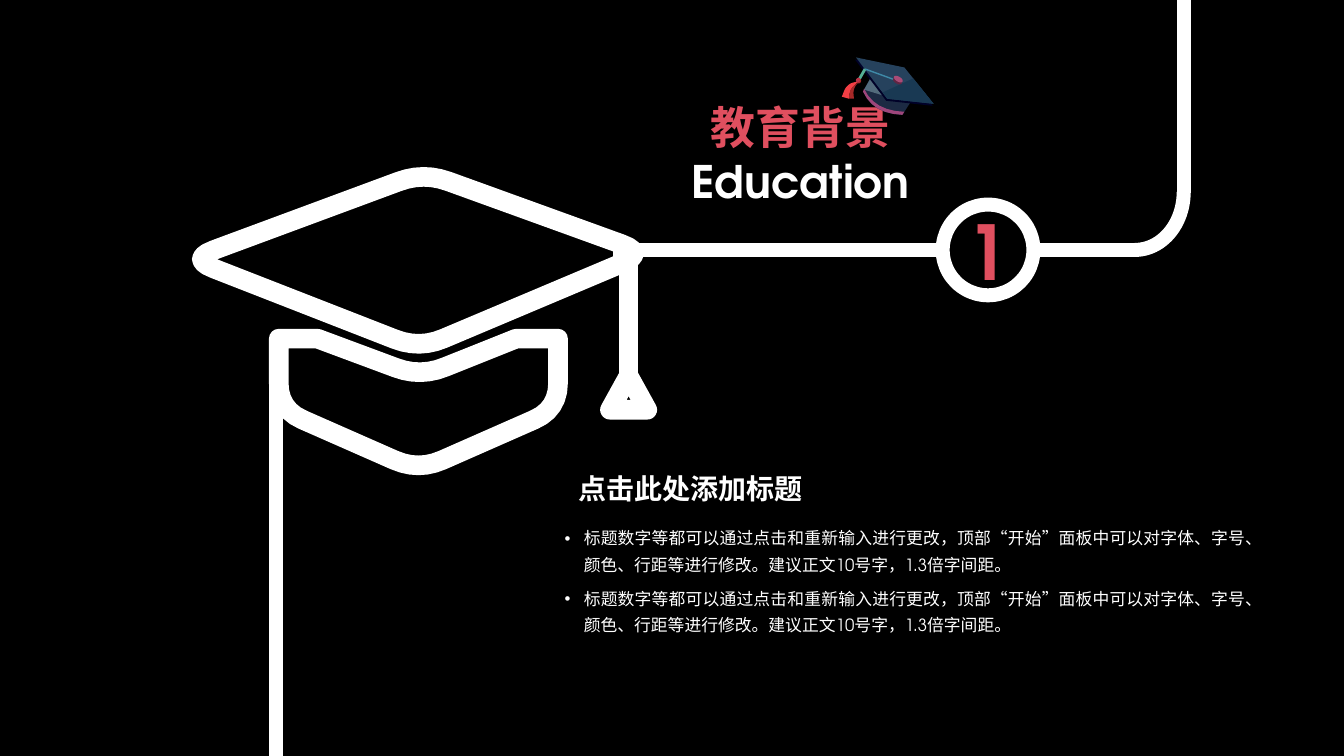
"""Build the education section slide on a grid of hundredths of an inch."""
from dataclasses import dataclass
from math import dist

from lxml import etree
from pptx import Presentation
from pptx import util as u
from pptx.dml.color import RGBColor
from pptx.enum import shapes, text
from pptx.oxml.ns import qn


@dataclass(frozen=True)
class Theme:
    """Colours, fonts, type sizes and stroke widths of the slide."""
    back: str = "000000"
    white: str = "FFFFFF"
    red: str = "E04F5F"
    navy: str = "1C2A43"
    slate: str = "536B7C"
    ink: str = "000128"
    blue: str = "26425D"
    shade: str = "193953"
    mint: str = "54AF94"
    sky: str = "3F8AA8"
    flame: str = "F33F45"
    wine: str = "A72928"
    rose: str = "BA3447"
    plum: str = "602643"
    pink: str = "AA4B77"
    mauve: str = "9E467B"
    latin: str = "TeX Gyre Adventor"
    han: str = "Noto Sans CJK SC"
    digit: int = 54
    title: int = 32
    head: int = 20
    body: int = 12
    stroke: int = 10
    bold: int = 14
    thin: int = 1


LOOK = Theme()
COLS, ROWS = 1333, 750
CELL = u.Inches(0.01)
TRACK = 248
TIP = ("标题数字等都可以通过点击和重新输入进行更改，顶部“开始”面板中可以对字体、字号、"
       "颜色、行距等进行修改。建议正文10号字，1.3倍字间距。")


def grid(*nums):
    """Turn grid counts into lengths."""
    return [u.Emu(round(n * CELL)) for n in nums]


def mix(a, b, part):
    """Return the point that lies a share of the way from a to b."""
    return tuple(p + (q - p) * part for p, q in zip(a, b))


def soften(points, steps=6):
    """Replace each corner (x, y, cut) by a curve that starts cut before it."""
    dots = []
    for i, (x, y, *cut) in enumerate(points):
        here = (x, y)
        if not cut:
            dots.append(here)
            continue
        sides = points[i - 1][:2], points[(i + 1) % len(points)][:2]
        start, end = (mix(here, side, min(1, cut[0] / dist(here, side)))
                      for side in sides)
        for step in range(steps + 1):
            t = step / steps
            dots.append(mix(mix(start, here, t), mix(here, end, t), t))
    return dots


def paint(fmt, tint):
    """Give a fill one plain colour."""
    fmt.solid()
    fmt.fore_color.rgb = RGBColor.from_string(tint)


def style(item, fill=None, line=None, width=LOOK.stroke):
    """Set or clear the fill and the line of a shape."""
    item.shadow.inherit = False
    for fmt, tint in ((item.fill, fill), (item.line.fill, line)):
        if tint:
            paint(fmt, tint)
        else:
            fmt.background()
    if line:
        item.line.width = u.Pt(width)


def rail(host, *ends, tint=LOOK.white, width=LOOK.stroke):
    """Draw a straight stroke between two grid points."""
    line = host.shapes.add_connector(shapes.MSO_CONNECTOR.STRAIGHT, *grid(*ends))
    paint(line.line.fill, tint)
    line.line.width = u.Pt(width)
    etree.SubElement(line._element.spPr, qn("a:effectLst"))


def preset(host, kind, area, turn=0, **look):
    """Draw a preset shape."""
    item = host.shapes.add_shape(kind, *grid(*area))
    item.rotation = turn
    style(item, **look)


def outline(host, points, **look):
    """Draw a closed shape through corners that may be softened."""
    units = 100
    dots = [(round(x * units), round(y * units)) for x, y in soften(points)]
    shape = host.shapes.build_freeform(*dots[0], scale=CELL / units)
    shape.add_line_segments(dots[1:], close=True)
    style(shape.convert_to_shape(), **look)


def emblem(slide):
    """Draw the large white cap: board, band, cord and tassel."""
    cap = slide.shapes.add_group_shape()
    look = {"line": LOOK.white, "width": LOOK.bold}
    curve = 26
    left, right, top, side = 276.5, 553.5, 336, 406
    band = [(left, top), (315, top), (417, 374, curve), (512, top), (right, top),
            (right, side, curve), (415, 467, curve), (left, side, curve)]
    board = [(188, 257, curve), (420, 171, curve), (641, 251, curve), (416, 346, curve)]
    cord, knot, foot, half = 623.5, 373, 406.5, 18.5
    tassel = [(cord, knot), (cord + half, foot), (cord - half, foot)]
    for part in (band, board, tassel):
        outline(cap, part, **look)
    rail(cap, cord, 250, cord, knot, width=LOOK.bold)


def badge(slide):
    """Draw the small coloured cap, from the bowl up to the button."""
    cap = slide.shapes.add_group_shape()
    oval, tilt, deep = shapes.MSO_SHAPE.OVAL, 30.5, 40
    far, right, near, left = board = [(849, 57), (897, 67), (926, 103), (880, 98)]
    rim, brow = (856, 91), (895, 114)
    bowl = [(864, 76), rim, (866, 113, deep), brow, (904, 100)]
    trim = [(857, 88), rim, (866, 113, deep), brow, (897, 111), (867, 110, deep)]
    inside = [(893, 92), (865, 75), (857, 89), (890, 99)]
    edge = [(x - 1, y + 2) for x, y in board]
    front = [near, mix(right, near, 0.3), mix(far, left, 0.85), left]
    strand = [(851, 81), (840, 83, 8), (835, 96), (842, 98), (843, 89, 6)]
    fold = [(852, 81), (843, 88, 6), (842, 98), (847, 98), (846, 88, 6)]
    for part, tint in ((bowl, LOOK.navy), (inside, LOOK.slate), (edge, LOOK.ink),
                       (board, LOOK.blue), (front, LOOK.shade), (trim, LOOK.mauve),
                       (strand, LOOK.flame), (fold, LOOK.wine)):
        outline(cap, part, fill=tint)
    bend = (858, 68.5)
    rail(cap, *bend, 852, 79, tint=LOOK.mint, width=2 * LOOK.thin)
    rail(cap, *bend, 891, 80.5, tint=LOOK.sky, width=LOOK.thin)
    for area, tint in (((850, 78, 4, 5), LOOK.wine), ((849, 77, 4, 5), LOOK.rose),
                       ((885, 78, 10, 5), LOOK.plum), ((886, 76, 10, 5), LOOK.pink)):
        preset(cap, oval, area, turn=tilt, fill=tint)


def write(box, area, lines, size, face=LOOK.latin, bold=True,
          align=text.PP_ALIGN.LEFT, lead=1.0, gap=0, mark=None):
    """Place a box and fill it with (wording, colour) paragraphs."""
    box.left, box.top, box.width, box.height = grid(*area)
    frame = box.text_frame
    frame.word_wrap = True
    frame.auto_size = text.MSO_AUTO_SIZE.SHAPE_TO_FIT_TEXT
    frame.vertical_anchor = text.MSO_ANCHOR.TOP
    for i, (words, tint) in enumerate(lines):
        para = frame.add_paragraph() if i else frame.paragraphs[0]
        if mark:
            props = para._p.get_or_add_pPr()
            dent = grid(19)[0]
            props.set("marL", str(dent))
            props.set("indent", str(-dent))
            etree.SubElement(props, qn("a:buChar"), char=mark)
        para.alignment = align
        para.line_spacing = lead
        para.space_before = u.Pt(gap if i else 0)
        run = para.add_run()
        run.text = words
        font = run.font
        font.size, font.bold = u.Pt(size), bold
        paint(font.fill, tint)
        font.name = face
        etree.SubElement(run._r.get_or_add_rPr(), qn("a:ea"), typeface=LOOK.han)


def main():
    """Build and save the slide."""
    deck = Presentation()
    deck.slide_width, deck.slide_height = grid(COLS, ROWS)
    slide = deck.slides.add_slide(deck.slide_layouts[1])
    paint(slide.background.fill, LOOK.back)

    rail(slide, 1174, -33, 1174, 191)
    preset(slide, shapes.MSO_SHAPE.ARC, (1068, 142, 115, 97), turn=90, line=LOOK.white)
    rail(slide, 1025, TRACK, 1128, TRACK)
    preset(slide, shapes.MSO_SHAPE.OVAL, (935, TRACK - 45, 90, 90), line=LOOK.white)
    rail(slide, 608, TRACK, 935, TRACK)
    emblem(slide)
    rail(slide, 274, 379, 274, ROWS)

    digit, head = (slide.shapes.add_textbox(0, 0, CELL, CELL) for _ in range(2))
    write(digit, (949, 198, 61, 101), [("1", LOOK.red)], LOOK.digit)
    write(slide.shapes.title, (610, 94, 368, 118),
          [("教育背景", LOOK.red), ("Education", LOOK.white)], LOOK.title,
          align=text.PP_ALIGN.CENTER)
    write(head, (564, 463, 638, 44), [("点击此处添加标题", LOOK.white)],
          LOOK.head, face=LOOK.han)
    write(slide.placeholders[1], (550, 513, 696, 121), [(TIP, LOOK.white)] * 2,
          LOOK.body, bold=False, align=text.PP_ALIGN.JUSTIFY, lead=1.3, gap=6, mark="•")
    badge(slide)
    deck.save("out.pptx")


if __name__ == "__main__":
    main()
